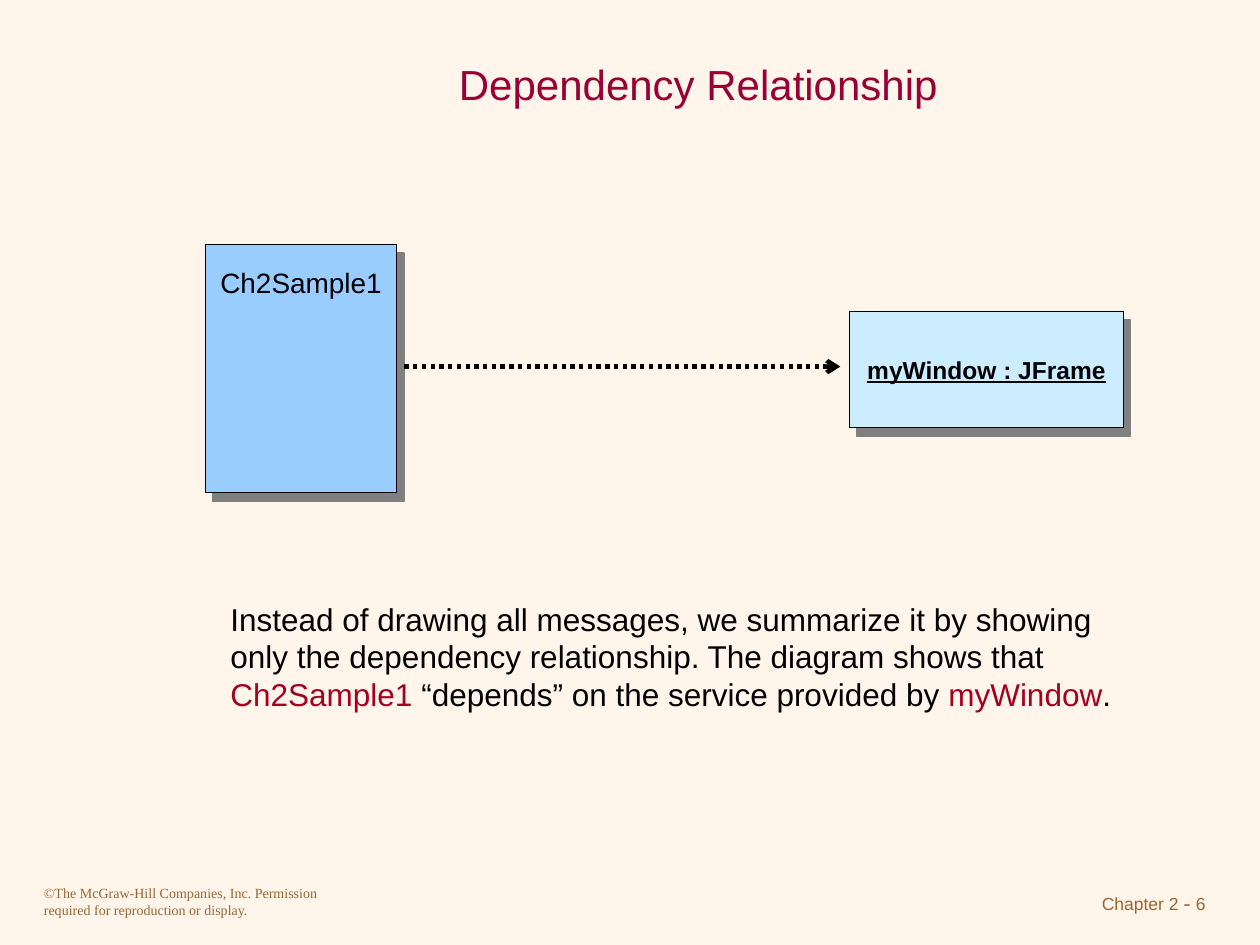
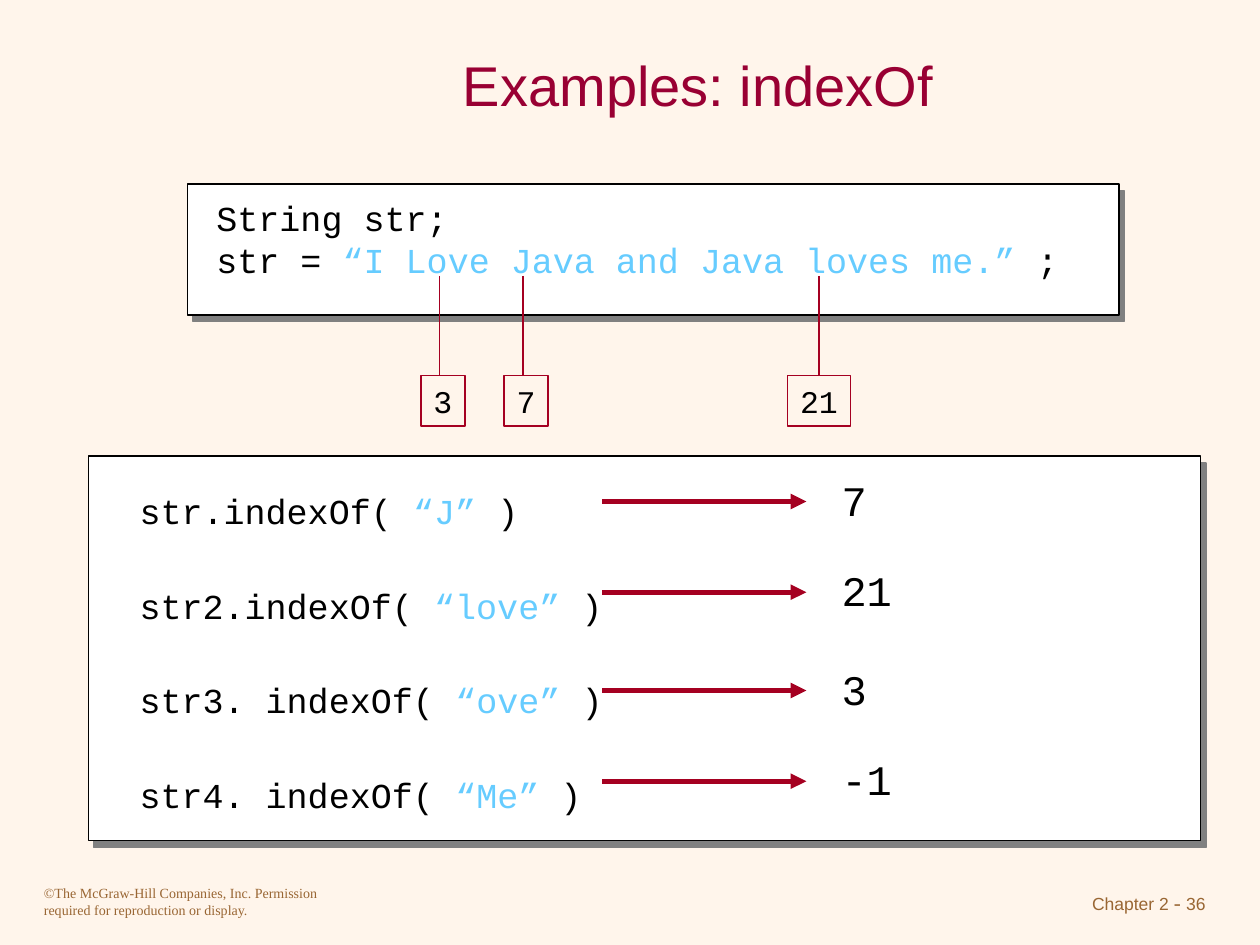
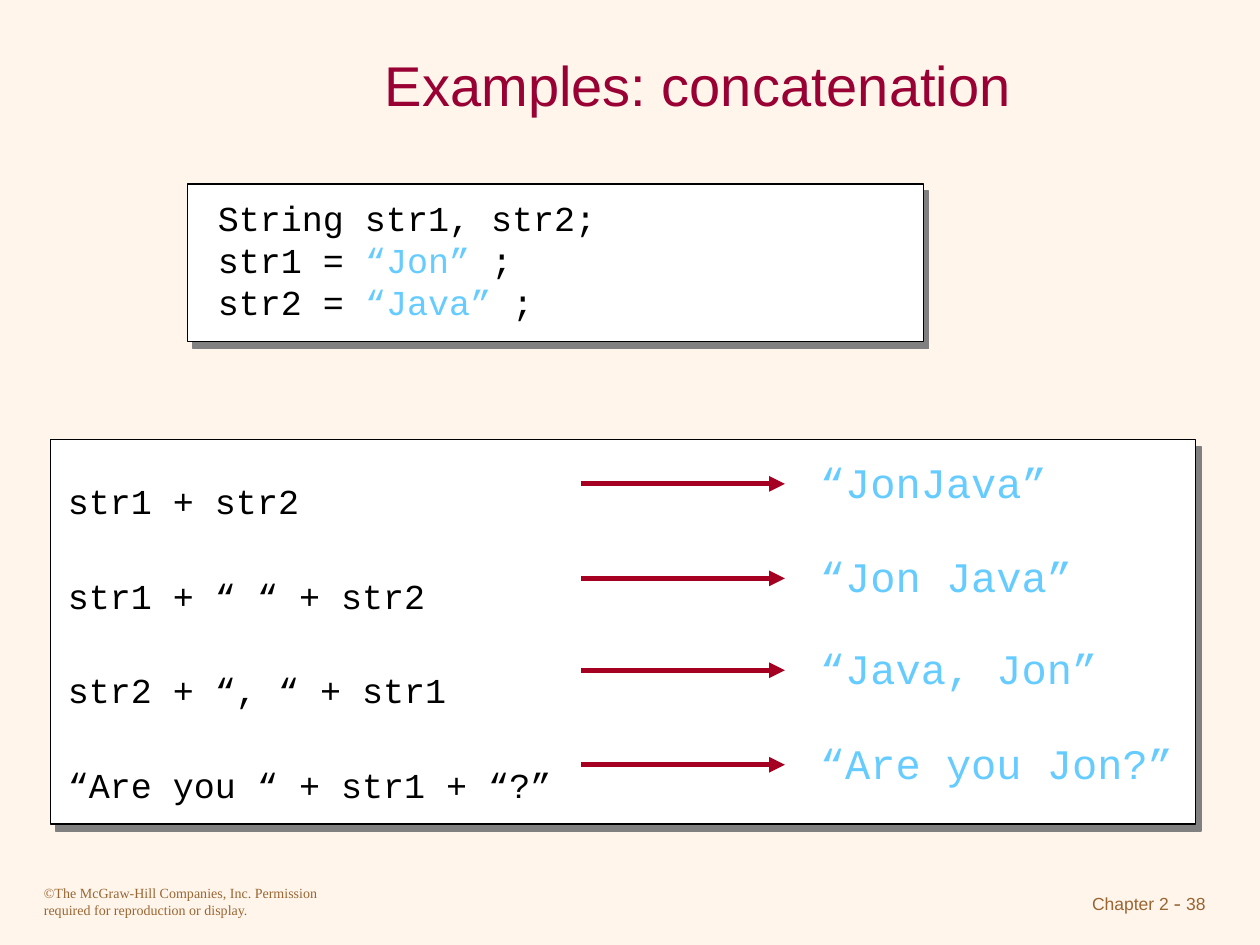
import pptx
import pptx.util
import pptx.dml.color
import pptx.enum.dml
import pptx.enum.shapes
import pptx.enum.text
import pptx.oxml
import pptx.oxml.ns

Pt = pptx.util.Pt
SHAPE = pptx.enum.shapes.MSO_SHAPE
LINE = pptx.enum.shapes.MSO_CONNECTOR.STRAIGHT
ALIGN = pptx.enum.text.PP_ALIGN
ANCHOR = pptx.enum.text.MSO_ANCHOR
FIT = pptx.enum.text.MSO_AUTO_SIZE
DOTS = pptx.enum.dml.MSO_LINE.ROUND_DOT

# Shared look
CREAM, WINE, RED, BROWN = "FFF5EB", "990033", "A50021", "996633"
BLACK, WHITE, GRAY, SKY = "000000", "FFFFFF", "808080", "66CCFF"
SANS, SERIF, MONO = "Arial", "Times New Roman", "Courier New"
RIGHTS = ("©The McGraw-Hill Companies, Inc. Permission required "
          "for reproduction or display.")

# Content: parts between bars take the accent colour; boxes are x, y, w, h
CLASS = ("Ch2Sample1", (117.3, 139.6, 109.5, 141.9))
OBJECT = ("myWindow : JFrame", (485.3, 177.9, 156.9, 66.3))
NOTE = ("Instead of drawing all messages, we summarize it by showing only the "
        "dependency relationship. The diagram shows that |Ch2Sample1| "
        "“depends” on the service provided by |myWindow|.")

INDEX = {
    "title": "Examples: indexOf", "page": 36,
    "code": ["String str;", "str = |“I Love Java and Java loves me.”| ;"],
    "code_box": (107.3, 105.1, 532.1, 74.9), "code_x": 116.6,
    "calls": ["str.indexOf( |“J”| )", "str2.indexOf( |“love”| )",
              "str3. indexOf( |“ove”| )", "str4. indexOf( |“Me”| )"],
    "call_box": (50.4, 260.6, 635.8, 219.6), "call_at": (72.7, 246.2),
    "arrow_x": 344.2,
    "results": [("7", 286.6), ("21", 338.4), ("3", 394.6), ("-1", 446.4)],
}
CONCAT = {
    "title": "Examples: concatenation", "page": 38,
    "code": ["String str1, str2;", "str1 = |“Jon”| ;", "str2 = |“Java”| ;"],
    "code_box": (107.3, 105.1, 420.5, 90), "code_x": 117.4,
    "calls": ["str1 + str2", "str1 + “ “ + str2", "str2 + “, “ + str1",
              "“Are you “ + str1 + “?”"],
    "call_box": (28.8, 251.3, 654.5, 219.6), "call_at": (31.7, 240.5),
    "arrow_x": 331.9,
    "results": [("|“JonJava”|", 276.5), ("|“Jon Java”|", 330.5),
                ("|“Java, Jon”|", 383), ("|“Are you Jon?”|", 437)],
}
# Index, pointer x, box left, box width
MARKS = [("3", 251.3, 240.5, 25.2), ("7", 298.8, 288, 25.2),
         ("21", 468, 450, 36)]


def color(code):
    return pptx.dml.color.RGBColor.from_string(code)


def style(run, size, font, code):
    run.font.size, run.font.name = Pt(size), font
    run.font.color.rgb = color(code)


def write(frame, lines, size, font, accent=SKY, align=ALIGN.LEFT, space=None):
    frame.word_wrap = True
    for i, line in enumerate(lines):
        para = frame.add_paragraph() if i else frame.paragraphs[0]
        para.alignment = align
        if space:
            para.line_spacing = space
        for j, part in enumerate(line.split("|")):
            if part:
                run = para.add_run()
                run.text = part
                style(run, size, font, accent if j % 2 else BLACK)


def text(slide, box, lines, size, font, **more):
    label = slide.shapes.add_textbox(*map(Pt, box))
    write(label.text_frame, lines, size, font, **more)
    return label


def rect(slide, box, fill=None, edge=BLACK, shade=None):
    shape = slide.shapes.add_shape(SHAPE.RECTANGLE, *map(Pt, box))
    shape.shadow.inherit = False
    if fill:
        shape.fill.solid()
        shape.fill.fore_color.rgb = color(fill)
    else:
        shape.fill.background()
    shape.line.color.rgb = color(edge)
    shape.line.width = Pt(0.75)
    if shade:
        dist, angle = shade
        effects = shape._element.spPr.find(pptx.oxml.ns.qn("a:effectLst"))
        effects.append(pptx.oxml.parse_xml(
            f'<a:outerShdw {pptx.oxml.ns.nsdecls("a")} dist="{Pt(dist)}" '
            f'dir="{angle * 60000}" algn="ctr" rotWithShape="0">'
            f'<a:srgbClr val="{GRAY}"/></a:outerShdw>'))
    return shape


def line(slide, start, end, width, code, head=None, dash=None):
    link = slide.shapes.add_connector(LINE, *map(Pt, start + end))
    link.line.color.rgb = color(code)
    link.line.width = Pt(width)
    if dash:
        link.line.dash_style = dash
    space = pptx.oxml.ns.nsdecls("a")
    if head:
        link.line._get_or_add_ln().append(
            pptx.oxml.parse_xml(f'<a:tailEnd {space} type="{head}"/>'))
    link._element.spPr.append(pptx.oxml.parse_xml(f'<a:effectLst {space}/>'))
    return link


def start(deck, title, size, page):
    """Add a slide with its title and footers."""
    slide = deck.slides.add_slide(deck.slide_layouts[5])
    head = slide.shapes.title
    head.left, head.top, head.width, head.height = map(Pt, (108, 18, 582, 60))
    frame = head.text_frame
    frame.text = title
    frame.auto_size, frame.vertical_anchor = FIT.NONE, ANCHOR.MIDDLE
    frame.paragraphs[0].alignment = ALIGN.CENTER
    style(frame.paragraphs[0].runs[0], size, SANS, WINE)

    text(slide, (18, 502, 180, 26), [f"|{RIGHTS}|"], 8, SERIF, accent=BROWN)
    foot = text(slide, (540, 505, 156, 22), [f"|Chapter 2|| - ||{page}|"],
                10, SANS, accent=BROWN, align=ALIGN.RIGHT)
    style(foot.text_frame.paragraphs[0].runs[1], 12, SERIF, BROWN)
    return slide


def depend(deck):
    slide = start(deck, "Dependency Relationship", 24, 6)
    # Object box
    name, box = OBJECT
    shape = rect(slide, box, "CCECFF", shade=(6.4, 51))
    shape.text_frame.vertical_anchor = ANCHOR.MIDDLE
    write(shape.text_frame, [name], 14, SANS, align=ALIGN.CENTER)
    font = shape.text_frame.paragraphs[0].runs[0].font
    font.bold = font.underline = True
    # Class box
    name, box = CLASS
    shape = rect(slide, box, "99CCFF", shade=(6.4, 51))
    shape.text_frame.vertical_anchor = ANCHOR.TOP
    shape.text_frame.margin_top = Pt(12)
    write(shape.text_frame, [name], 16, SANS, align=ALIGN.CENTER)
    # Dependency arrow and summary
    line(slide, (231.1, 209.5), (480.2, 209.5), 2.5, BLACK, "arrow", DOTS)
    text(slide, (124.6, 339.1, 530, 72), [NOTE], 18, SANS, accent=RED)


def example(deck, data):
    slide = start(deck, data["title"], 32, data["page"])
    # Declarations
    left, top, wide, high = data["code_box"]
    rect(slide, data["code_box"], WHITE, shade=(5, 53))
    text(slide, (data["code_x"], top + 3.6, left + wide - data["code_x"],
                 high - 3.6), data["code"], 20, MONO)
    # Expressions with their results
    rect(slide, data["call_box"], WHITE, shade=(5, 53))
    text(slide, data["call_at"] + (310, 223), data["calls"], 20, MONO,
         space=2.25)
    left = data["arrow_x"]
    for result, mid in data["results"]:
        line(slide, (left, mid), (left + 116.6, mid), 3, RED, "triangle")
        text(slide, (left + 129.6, mid - 19.2, 225, 36), [result], 24, MONO)
    return slide


def mark(slide):
    """Point from the characters of the string to their indexes."""
    top = 214.4
    for index, x, left, wide in MARKS:
        box = rect(slide, (left, top, wide, 29), edge=RED)
        frame = box.text_frame
        frame.margin_left = frame.margin_right = 0
        frame.vertical_anchor = ANCHOR.MIDDLE
        write(frame, [index], 18, MONO, align=ALIGN.CENTER)
        link = line(slide, (x, 157.7), (x, top), 0.75, RED)
        if x == left + wide / 2:
            link.end_connect(box, 0)


def main():
    deck = pptx.Presentation()
    deck.slide_width, deck.slide_height = Pt(720), Pt(540)
    back = deck.slide_master.background.fill
    back.solid()
    back.fore_color.rgb = color(CREAM)
    depend(deck)
    mark(example(deck, INDEX))
    example(deck, CONCAT)
    deck.save("out.pptx")


if __name__ == "__main__":
    main()
